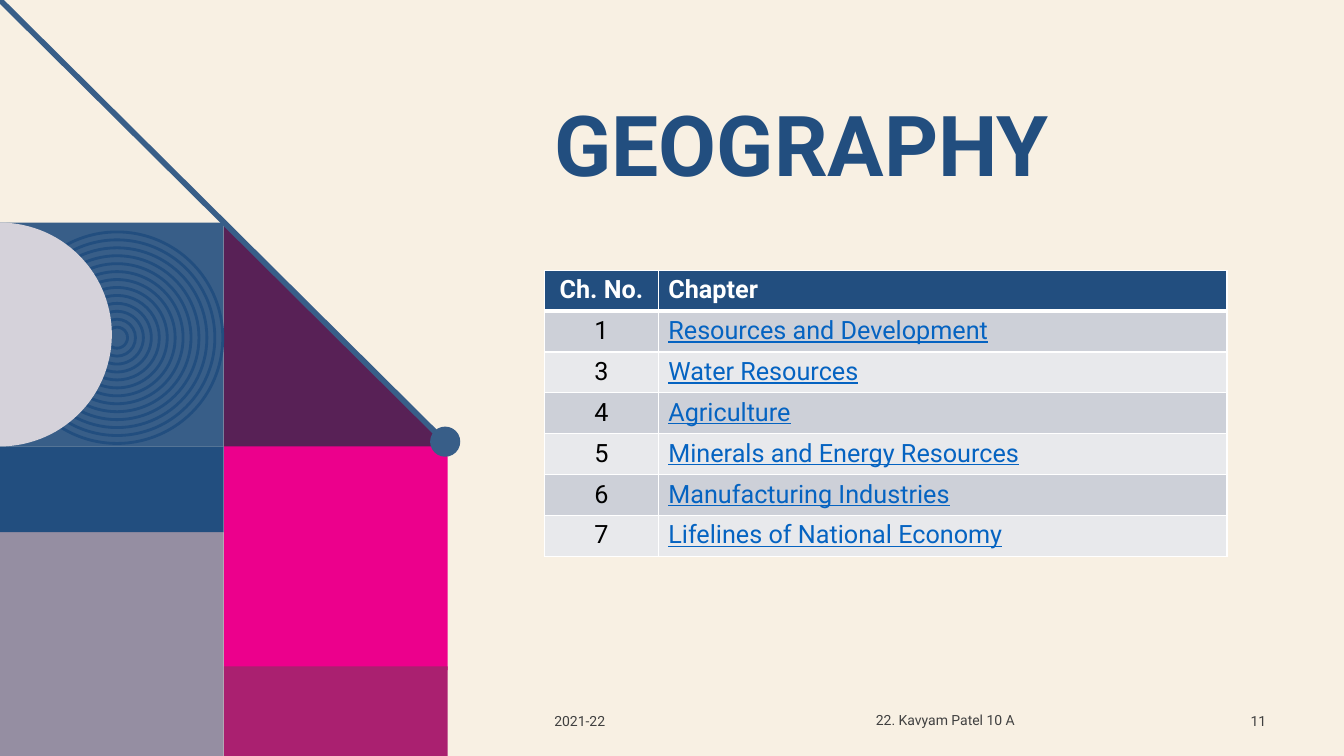
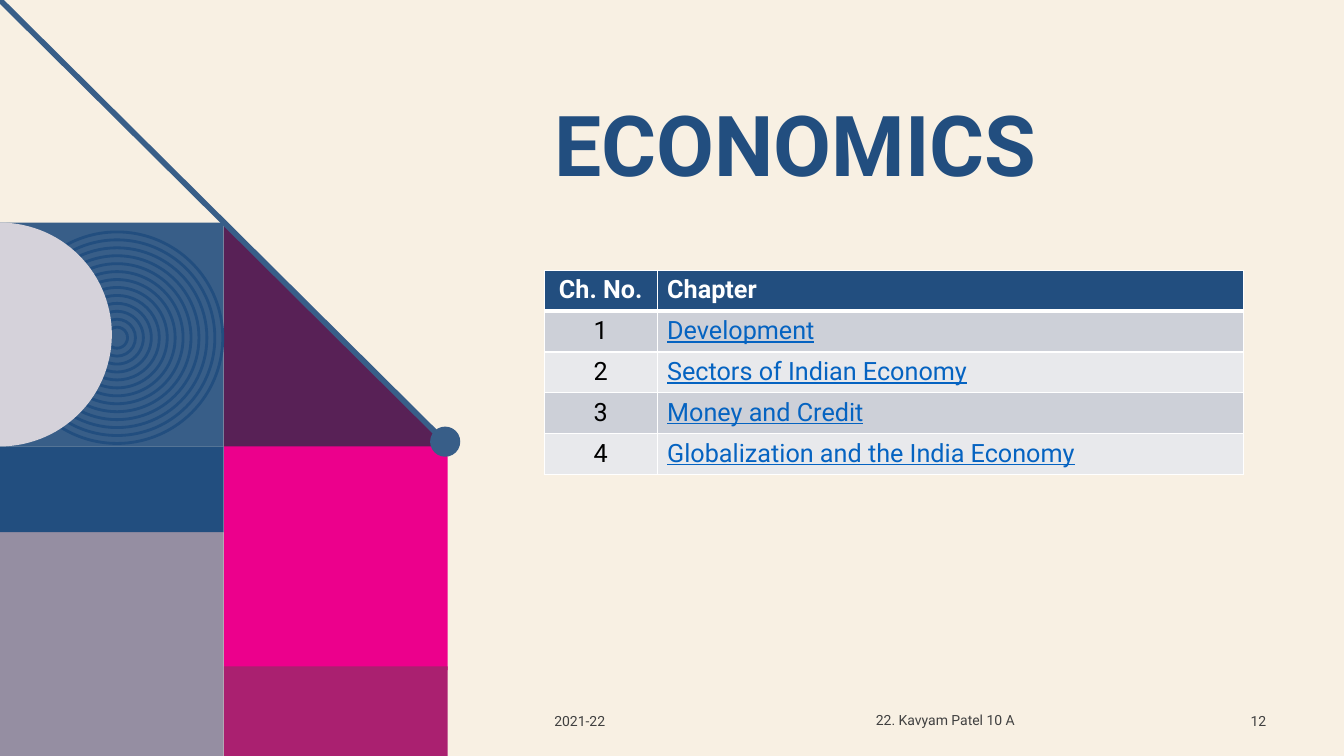
import math

import lxml.etree
import pptx
import pptx.dml.color
import pptx.enum.shapes
import pptx.enum.text
import pptx.oxml.ns
import pptx.util

Cm = pptx.util.Cm
Pt = pptx.util.Pt
RGBColor = pptx.dml.color.RGBColor
ShapeType = pptx.enum.shapes.MSO_SHAPE
Align = pptx.enum.text.PP_ALIGN
Anchor = pptx.enum.text.MSO_ANCHOR
qn = pptx.oxml.ns.qn

# Colours and font
CREAM = RGBColor(0xF8, 0xF0, 0xE3)
NAVY = RGBColor(0x22, 0x4E, 0x7F)
STEEL = RGBColor(0x38, 0x5E, 0x88)
PLUM = RGBColor(0x58, 0x21, 0x56)
PINK = RGBColor(0xEC, 0x00, 0x8C)
BERRY = RGBColor(0xAA, 0x20, 0x70)
MAUVE = RGBColor(0x95, 0x8E, 0xA2)
PALE = RGBColor(0xD5, 0xD2, 0xDA)
GREY = RGBColor(0x40, 0x40, 0x40)
BAND_DARK = RGBColor(0xCD, 0xD0, 0xD8)
BAND_LIGHT = RGBColor(0xE8, 0xE9, 0xEC)
LINK = RGBColor(0x05, 0x63, 0xC1)
WHITE = RGBColor(0xFF, 0xFF, 0xFF)
BLACK = RGBColor(0x00, 0x00, 0x00)
FONT = "Roboto"

# Layout, in centimetres
WIDTH, HEIGHT = 33.87, 19.05
TILE = 5.64
TILE_TOP = 5.61
CONTENT_LEFT = 13.72
ROW_HEIGHT = 1.03

SUBJECTS = [
    ("GEOGRAPHY", 11, (2.87, 14.33), [
        ("1", "Resources and Development"),
        ("3", "Water Resources"),
        ("4", "Agriculture"),
        ("5", "Minerals and Energy Resources"),
        ("6", "Manufacturing Industries"),
        ("7", "Lifelines of National Economy"),
    ]),
    ("ECONOMICS", 12, (2.84, 14.78), [
        ("1", "Development"),
        ("2", "Sectors of Indian Economy"),
        ("3", "Money and Credit"),
        ("4", "Globalization and the India Economy"),
    ]),
]


def write_text(text_frame, text, *, size, color, bold=False, underline=False,
               align=Align.LEFT, line_spacing=None):
    """Put one formatted paragraph into a text frame."""
    paragraph = text_frame.paragraphs[0]
    paragraph.alignment = align
    if line_spacing:
        paragraph.line_spacing = line_spacing
    run = paragraph.add_run()
    run.text = text
    run.font.name = FONT
    run.font.size = Pt(size)
    run.font.bold = bold
    run.font.underline = underline
    run.font.color.rgb = color


class Deck:
    """Holds the style and the current slide."""

    def __init__(self):
        self.presentation = pptx.Presentation()
        self.presentation.slide_width = Cm(WIDTH)
        self.presentation.slide_height = Cm(HEIGHT)
        background = self.presentation.slide_master.background.fill
        background.solid()
        background.fore_color.rgb = CREAM
        self.slide = None

    def new_slide(self):
        title_only = self.presentation.slide_layouts[5]
        self.slide = self.presentation.slides.add_slide(title_only)

    def paint(self, shape, fill=None, line=None):
        shape.shadow.inherit = False
        if fill is None:
            shape.fill.background()
        else:
            shape.fill.solid()
            shape.fill.fore_color.rgb = fill
        if line is None:
            shape.line.fill.background()
        else:
            shape.line.color.rgb = line
            shape.line.width = Pt(2)

    def rectangle(self, left, top, width, height, fill):
        shape = self.slide.shapes.add_shape(
            ShapeType.RECTANGLE, Cm(left), Cm(top), Cm(width), Cm(height))
        self.paint(shape, fill)

    def circle(self, center_x, center_y, diameter, fill=None, line=None):
        shape = self.slide.shapes.add_shape(
            ShapeType.OVAL, Cm(center_x - diameter / 2),
            Cm(center_y - diameter / 2), Cm(diameter), Cm(diameter))
        self.paint(shape, fill, line)

    def polygon(self, points, fill):
        corners = [(Cm(x), Cm(y)) for x, y in points]
        builder = self.slide.shapes.build_freeform(*corners[0])
        builder.add_line_segments(corners[1:], close=True)
        self.paint(builder.convert_to_shape(), fill)

    def line(self, start, end, color, width):
        connector = self.slide.shapes.add_connector(
            pptx.enum.shapes.MSO_CONNECTOR.STRAIGHT,
            *[Cm(value) for value in (*start, *end)])
        connector.line.color.rgb = color
        connector.line.width = Pt(width)
        properties = connector.element.find(qn("p:spPr"))
        lxml.etree.SubElement(properties, qn("a:effectLst"))

    def artwork(self):
        """Draw the geometric panel on the left."""
        bottom = TILE_TOP + TILE
        self.rectangle(0, TILE_TOP, TILE, TILE, STEEL)
        self.polygon([(TILE, TILE), (2 * TILE, 2 * TILE), (TILE, 2 * TILE)], PLUM)
        self.rectangle(TILE, bottom, TILE, TILE, PINK)
        self.rectangle(TILE, 16.79, TILE, HEIGHT - 16.79, BERRY)
        self.rectangle(0, HEIGHT - TILE, TILE, TILE, MAUVE)
        # Concentric rings
        for ring in range(13):
            self.circle(2.95, 8.51, 5.33 - 0.4 * ring, line=NAVY)
        self.rectangle(0, bottom, TILE, HEIGHT - TILE - bottom, NAVY)
        # Half disc on the slide edge
        radius = TILE / 2
        angles = [math.radians(degree) for degree in range(-90, 91, 3)]
        self.polygon([(radius * math.cos(angle),
                       TILE_TOP + radius + radius * math.sin(angle))
                      for angle in angles], PALE)
        # Diagonal with its end dot
        self.line((0, 0), (11.28, 11.2), STEEL, 4)
        self.circle(11.22, 11.13, 0.76, fill=STEEL)

    def title(self, text):
        title = self.slide.shapes.title
        title.left, title.top = Cm(CONTENT_LEFT), Cm(2.49)
        title.width, title.height = Cm(17.63), Cm(3.68)
        frame = title.text_frame
        frame.auto_size = pptx.enum.text.MSO_AUTO_SIZE.NONE
        frame.vertical_anchor = Anchor.TOP
        write_text(frame, text, size=60, color=NAVY, bold=True, line_spacing=0.9)

    def footer(self, number):
        for text, left, top, width, align in (
                ("2021-22", CONTENT_LEFT, 17.65, 3.05, Align.LEFT),
                ("22. Kavyam Patel 10 A", 20.65, 17.63, 6.35, Align.CENTER),
                (str(number), 30.89, 17.65, 1.27, Align.RIGHT)):
            box = self.slide.shapes.add_textbox(
                Cm(left), Cm(top), Cm(width), Cm(1.02))
            box.text_frame.word_wrap = True
            box.text_frame.vertical_anchor = Anchor.MIDDLE
            write_text(box.text_frame, text, size=10, color=GREY, align=align)

    def cell_borders(self, cell, **widths):
        """Give a cell white borders; widths are points by side."""
        properties = cell._tc.get_or_add_tcPr()
        for index, side in enumerate("LRTB"):
            border = lxml.etree.Element(
                qn("a:ln" + side), w=str(Pt(widths.get(side, 1))))
            fill = lxml.etree.SubElement(border, qn("a:solidFill"))
            lxml.etree.SubElement(fill, qn("a:srgbClr"), val=str(WHITE))
            properties.insert(index, border)

    def chapter_table(self, column_widths, chapters):
        rows = [("Ch. No.", "Chapter"), *chapters]
        table = self.slide.shapes.add_table(
            len(rows), 2, Cm(CONTENT_LEFT), Cm(6.81),
            Cm(sum(column_widths)), Cm(ROW_HEIGHT * len(rows))).table
        for column, width in zip(table.columns, column_widths):
            column.width = Cm(width)
        for row_index, row in enumerate(rows):
            table.rows[row_index].height = Cm(ROW_HEIGHT)
            header = row_index == 0
            band = NAVY if header else BAND_DARK if row_index % 2 else BAND_LIGHT
            for column_index, text in enumerate(row):
                cell = table.cell(row_index, column_index)
                cell.fill.solid()
                cell.fill.fore_color.rgb = band
                self.cell_borders(cell, T=3 if row_index == 1 else 1,
                                  B=3 if header else 1)
                chapter_name = column_index == 1
                write_text(
                    cell.text_frame, text, size=18, bold=header,
                    color=WHITE if header else LINK if chapter_name else BLACK,
                    underline=chapter_name and not header,
                    align=Align.LEFT if chapter_name else Align.CENTER)


def main():
    deck = Deck()
    for subject, number, column_widths, chapters in SUBJECTS:
        deck.new_slide()
        deck.artwork()
        deck.title(subject)
        deck.footer(number)
        deck.chapter_table(column_widths, chapters)
    deck.presentation.save("out.pptx")


if __name__ == "__main__":
    main()
